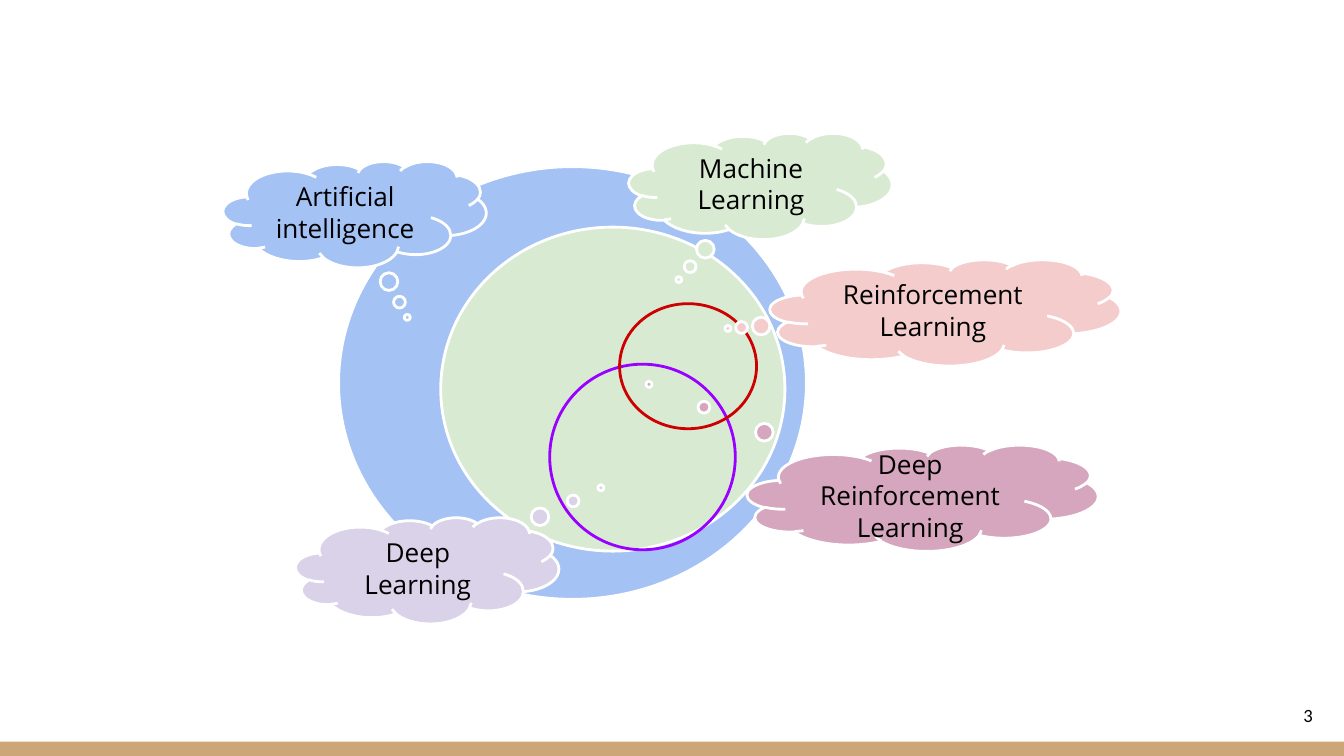
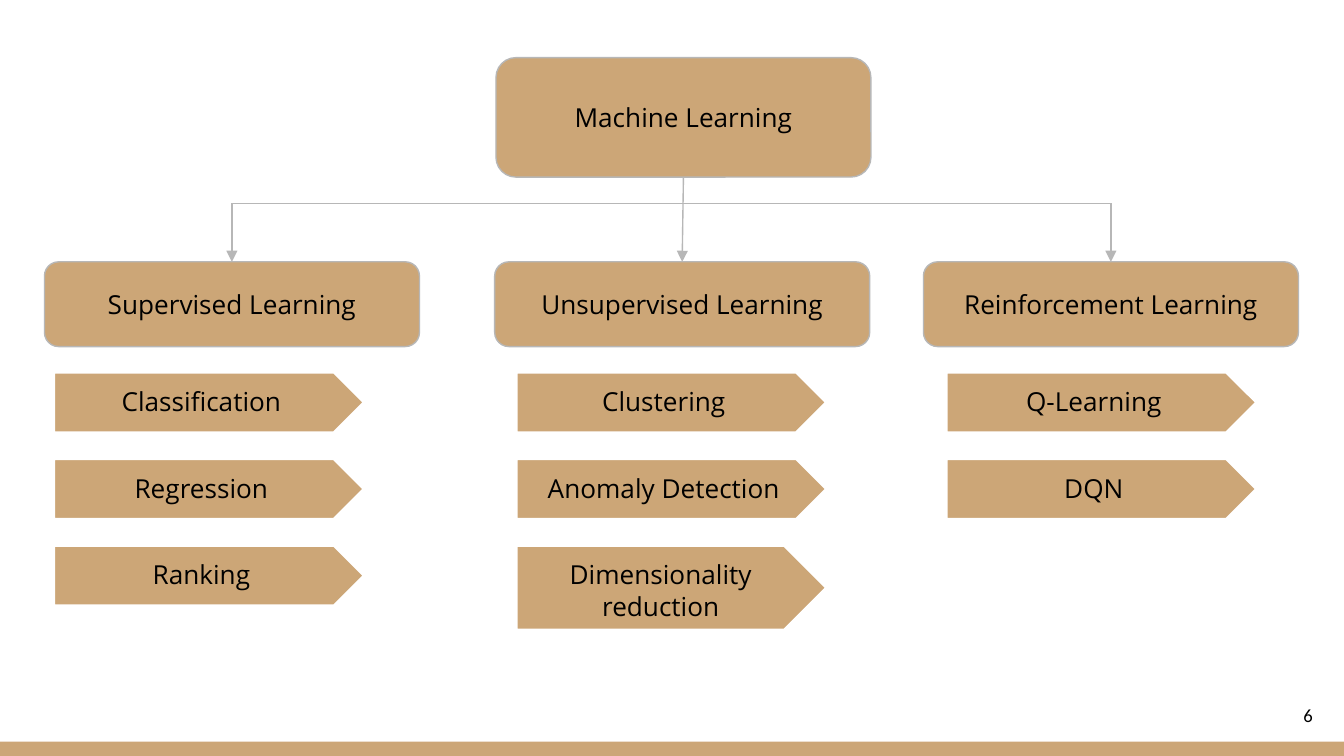
from dataclasses import dataclass
from lxml.etree import SubElement
from pptx import Presentation as Deck
from pptx.dml.color import RGBColor as Rgb
from pptx.enum.shapes import MSO_CONNECTOR as Link, MSO_SHAPE as Form
from pptx.enum.text import MSO_ANCHOR as Anchor, PP_ALIGN as Align
from pptx.oxml.ns import qn
from pptx.util import Pt


@dataclass(frozen=True)
class Theme:
    face: str = "Open Sans"
    small: str = "Calibri"
    size: int = 14
    tiny: int = 10
    thick: float = 1.5
    thin: float = 0.75
    inset: float = 7.2
    ink: str = "000000"
    white: str = "FFFFFF"
    tan: str = "CCA677"
    gray: str = "B7B7B7"
    blue: str = "A4C2F4"
    green: str = "D9EAD3"
    pink: str = "F4CCCC"
    lilac: str = "D9D2E9"
    mauve: str = "D5A6BD"
    violet: str = "9900FF"
    red: str = "CC0000"


LOOK = Theme()
WIDE, HIGH = 720, 405


def apply(target, values):
    for key, value in values.items():
        setattr(target, key, value)


def write(shape, text, anchor=Anchor.MIDDLE, align=Align.CENTER,
          face=LOOK.face, size=LOOK.size):
    frame = shape.text_frame
    sides = ("left", "top", "right", "bottom")
    apply(frame, {f"margin_{side}": Pt(LOOK.inset) for side in sides})
    apply(frame, {"word_wrap": True, "vertical_anchor": anchor, "text": text})
    para = frame.paragraphs[0]
    para.alignment = align
    font = para.runs[0].font
    apply(font, {"name": face, "size": Pt(size)})
    font.color.rgb = Rgb.from_string(LOOK.ink)


def draw(shapes, form, box, fill=None, line=None, width=LOOK.thick):
    shape = shapes.add_shape(form, *map(Pt, box))
    shape.shadow.inherit = False
    if fill:
        shape.fill.solid()
        shape.fill.fore_color.rgb = Rgb.from_string(fill)
    else:
        shape.fill.background()
    if line:
        shape.line.color.rgb = Rgb.from_string(line)
        shape.line.width = Pt(width)
    else:
        shape.line.fill.background()
    return shape


def join(shapes, start, end, arrow=True):
    link = shapes.add_connector(Link.STRAIGHT, *map(Pt, (*start, *end)))
    link.line.color.rgb = Rgb.from_string(LOOK.gray)
    link.line.width = Pt(LOOK.thin)
    props = link._element.spPr
    if arrow:
        SubElement(props.find(qn("a:ln")), qn("a:tailEnd"), type="triangle")
    SubElement(props, qn("a:effectLst"))
    return link


def base(deck, page):
    slide = deck.slides.add_slide(deck.slide_layouts[6])
    draw(slide.shapes, Form.RECTANGLE, (0, 397.4, WIDE, 7.6), LOOK.tan)
    label = slide.shapes.add_textbox(*map(Pt, (667.2, 367.4, 43.2, 31)))
    write(label, str(page), align=Align.RIGHT, face=LOOK.small, size=LOOK.tiny)
    return slide.shapes


def venn(shapes, left, top):
    group = shapes.add_group_shape().shapes
    rings = (
        (61.9, 18, 250.6, 231.8, LOOK.blue, LOOK.white),
        (116.6, 50.4, 184.4, 173.6, LOOK.green, LOOK.white),
        (175, 123.8, 99.4, 99.4, None, LOOK.violet),
        (212.4, 91.4, 73.4, 67, None, LOOK.red),
    )
    for x, y, wide, high, fill, line in rings:
        draw(group, Form.FLOWCHART_CONNECTOR,
             (left + x, top + y, wide, high), fill, line)
    small, large, high = 141, 188, 56.9
    clouds = (
        ("Artificial intelligence", 0, 15.1, small, LOOK.blue, (0.2, 0.97)),
        ("Machine Learning", 217.4, 0, small, LOOK.green, (-0.31, 0.88)),
        ("Reinforcement Learning", 293, 67.7, large, LOOK.pink, (-0.62, 0.15)),
        ("Deep Learning", 38.9, 205.9, small, LOOK.lilac, (0.66, -0.78)),
        ("Deep Reinforcement Learning", 280.8, 167, large, LOOK.mauve,
         (-0.78, -1.07)),
    )
    for text, x, y, wide, fill, tip in clouds:
        cloud = draw(group, Form.CLOUD_CALLOUT,
                     (left + x, top + y, wide, high), fill, LOOK.white)
        for spot, value in enumerate(tip):
            cloud.adjustments[spot] = value
        write(cloud, text)


def node(shapes, text, box):
    shape = draw(shapes, Form.FLOWCHART_ALTERNATE_PROCESS, box,
                 LOOK.tan, LOOK.gray, LOOK.thin)
    write(shape, text)
    return shape


def plates(shapes, left, top, items):
    for row, text in enumerate(items):
        high = 45.4 if text == "Dimensionality reduction" else 32.4
        plate = draw(shapes, Form.PENTAGON,
                     (left, top + row * 46.4, 166.3, high),
                     LOOK.tan, LOOK.white)
        write(plate, text, anchor=Anchor.TOP)


def tree(shapes, left, top):
    wide, bus, level = 200.9, top + 78, top + 109.4
    root = node(shapes, "Machine Learning", (left + 241.9, top, wide, 64))
    kinds = (
        ("Supervised Learning", 0, 5,
         ("Classification", "Regression", "Ranking")),
        ("Unsupervised Learning", 241.2, 11.5,
         ("Clustering", "Anomaly Detection", "Dimensionality reduction")),
        ("Reinforcement Learning", 470.9, 12.2, ("Q-Learning", "DQN")),
    )
    mids = []
    for text, x, shift, items in kinds:
        child = node(shapes, text, (left + x, level, wide, 45.4))
        plates(shapes, left + x + shift, top + 168.5, items)
        mid = left + x + wide / 2
        link = join(shapes, (mid, bus), (mid, level))
        if text == "Unsupervised Learning":
            link.begin_connect(root, 2)
        link.end_connect(child, 0)
        mids.append(mid)
    join(shapes, (mids[-1], bus), (mids[0], bus), arrow=False)


def main():
    deck = Deck()
    apply(deck, {"slide_width": Pt(WIDE), "slide_height": Pt(HIGH)})
    venn(base(deck, 3), 119.5, 71.3)
    tree(base(deck, 6), 23.8, 30.9)
    deck.save("out.pptx")


if __name__ == "__main__":
    main()
